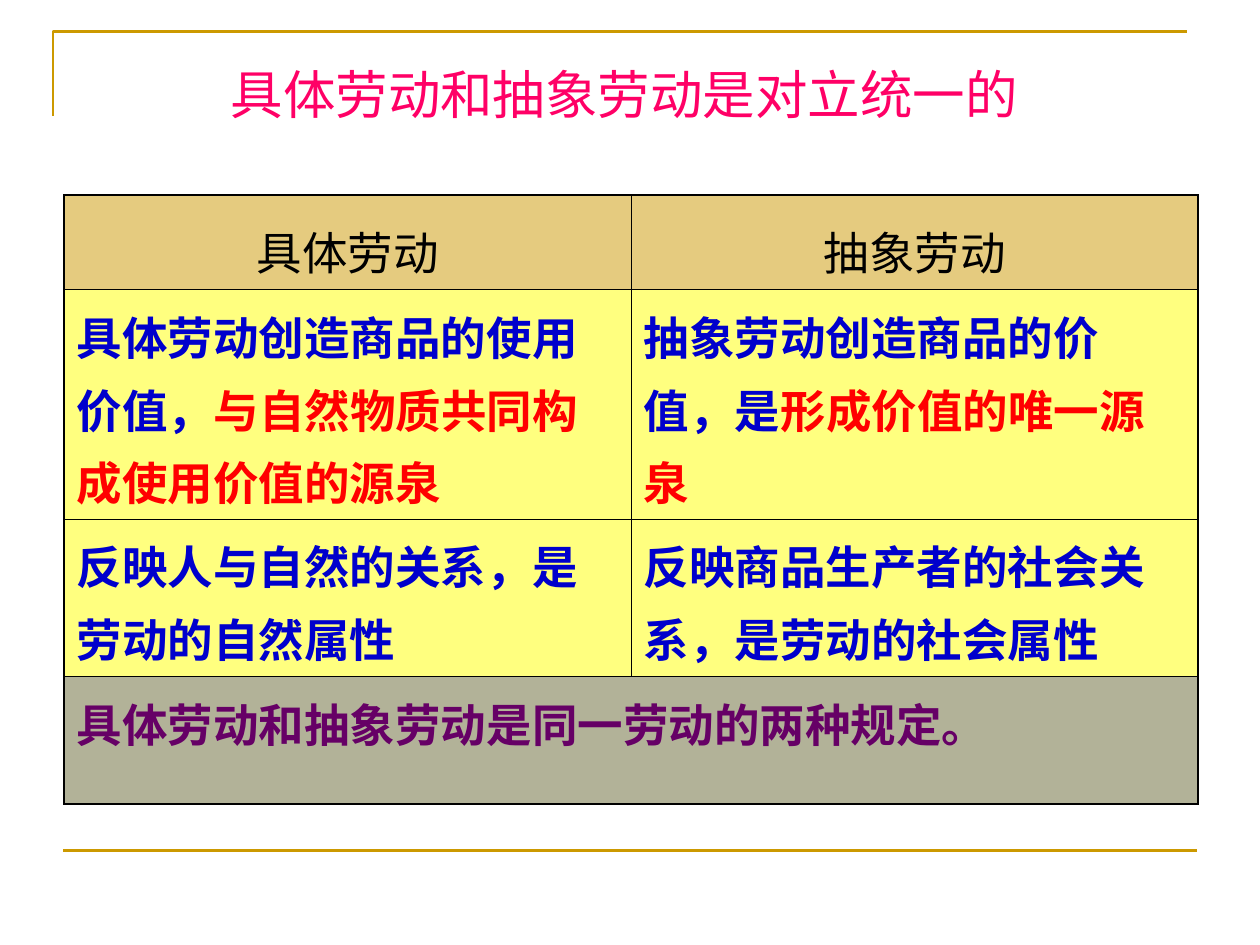
"""Build the slide comparing concrete and abstract labour."""
from dataclasses import dataclass

from lxml.etree import SubElement
from pptx import Presentation
from pptx.dml.color import RGBColor
from pptx.enum.shapes import MSO_CONNECTOR
from pptx.enum.text import MSO_ANCHOR, PP_ALIGN
from pptx.oxml import parse_xml
from pptx.oxml.ns import nsdecls, qn
from pptx.util import Inches, Pt


@dataclass(frozen=True)
class Theme:
    font: str = "Noto Sans CJK SC"
    title_size: int = 30
    cell_size: int = 26
    title: str = "FF0066"
    gold: str = "CC9900"
    yellow: str = "FFFF00"
    olive: str = "666633"
    black: str = "000000"
    blue: str = "0000CC"
    red: str = "FF0000"
    purple: str = "660066"
    rule: float = 1.5
    outer: float = 1.08
    inner: float = 0.45
    opacity: int = 50


T = Theme()
TITLE = "具体劳动和抽象劳动是对立统一的"
ROWS = [
    (0.75, T.gold, [[("具体劳动", T.black)], [("抽象劳动", T.black)]]),
    (1.82, T.yellow, [
        [("具体劳动创造商品的使用价值，", T.blue), ("与自然物质共同构成使用价值的源泉", T.red)],
        [("抽象劳动创造商品的价值，是", T.blue), ("形成价值的唯一源泉", T.red)],
    ]),
    (1.25, T.yellow, [
        [("反映人与自然的关系，是劳动的自然属性", T.blue)],
        [("反映商品生产者的社会关系，是劳动的社会属性", T.blue)],
    ]),
    (1.01, T.olive, [[("具体劳动和抽象劳动是同一劳动的两种规定。", T.purple)]]),
]
COLS = [4.5, 4.5]


def style_run(r, size, color, bold=False):
    r.font.size, r.font.bold, r.font.name = Pt(size), bold, T.font
    r.font.color.rgb = RGBColor.from_string(color)
    SubElement(r.font._element, qn("a:ea")).set("typeface", T.font)


def style_rule(shape):
    shape.line.color.rgb = RGBColor.from_string(T.gold)
    shape.line.width = Pt(T.rule)


def add_frame(s):
    fb = s.shapes.build_freeform(Inches(0.42), Inches(0.92))
    fb.add_line_segments([(Inches(0.42), Inches(0.25)), (Inches(9.42), Inches(0.25))], close=False)
    corner = fb.convert_to_shape()
    corner.fill.background()
    corner.shadow.inherit = False
    style_rule(corner)
    base = s.shapes.add_connector(
        MSO_CONNECTOR.STRAIGHT, Inches(0.5), Inches(6.75), Inches(9.5), Inches(6.75))
    style_rule(base)
    SubElement(base._element.spPr, qn("a:effectLst"))


def add_title(s):
    tf = s.shapes.add_textbox(Inches(0.51), Inches(0.4), Inches(8.89), Inches(0.69)).text_frame
    tf.word_wrap = True
    tf.vertical_anchor = MSO_ANCHOR.MIDDLE
    p = tf.paragraphs[0]
    p.text = TITLE
    p.alignment = PP_ALIGN.CENTER
    style_run(p.runs[0], T.title_size, T.title)


def paint_cell(cell, fill, edges):
    cell.fill.solid()
    cell.fill.fore_color.rgb = RGBColor.from_string(fill)
    tcPr = cell._tc.get_or_add_tcPr()
    alpha = SubElement(tcPr.find(".//" + qn("a:srgbClr")), qn("a:alpha"))
    alpha.set("val", str(T.opacity * 1000))
    for i, (side, is_outer) in enumerate(edges.items()):
        width = Pt(T.outer if is_outer else T.inner)
        tcPr.insert(i, parse_xml(
            f'<a:ln{side} {nsdecls("a")} w="{width}"><a:solidFill>'
            f'<a:srgbClr val="{T.black}"/></a:solidFill></a:ln{side}>'))


def fill_cell(cell, runs, is_head):
    cell.vertical_anchor = MSO_ANCHOR.MIDDLE if is_head else MSO_ANCHOR.TOP
    p = cell.text_frame.paragraphs[0]
    p.alignment = PP_ALIGN.CENTER if is_head else PP_ALIGN.LEFT
    p.line_spacing = 1.25 if is_head else 1.1
    p._p.get_or_add_pPr().set("hangingPunct", "0")
    for text, color in runs:
        r = p.add_run()
        r.text = text
        style_run(r, T.cell_size, color, not is_head)


def add_comparison(s):
    height = sum(row[0] for row in ROWS)
    table = s.shapes.add_table(len(ROWS), len(COLS), Inches(0.51), Inches(1.55),
                               Inches(sum(COLS)), Inches(height)).table
    table.first_row = table.horz_banding = False
    for col, width in zip(table.columns, COLS):
        col.width = Inches(width)
    for i, (row_height, fill, cells) in enumerate(ROWS):
        table.rows[i].height = Inches(row_height)
        merged = len(cells) < len(COLS)
        if merged:
            table.cell(i, 0).merge(table.cell(i, len(COLS) - 1))
        for j in range(len(COLS)):
            edges = {"L": j == 0, "R": merged or j == len(COLS) - 1,
                     "T": i == 0, "B": i == len(ROWS) - 1}
            paint_cell(table.cell(i, j), fill, edges)
        for j, runs in enumerate(cells):
            fill_cell(table.cell(i, j), runs, i == 0)


def main():
    prs = Presentation()
    prs.slide_width, prs.slide_height = Inches(10), Inches(7.5)
    s = prs.slides.add_slide(prs.slide_layouts[6])
    add_frame(s)
    add_title(s)
    add_comparison(s)
    prs.save("out.pptx")


if __name__ == "__main__":
    main()
